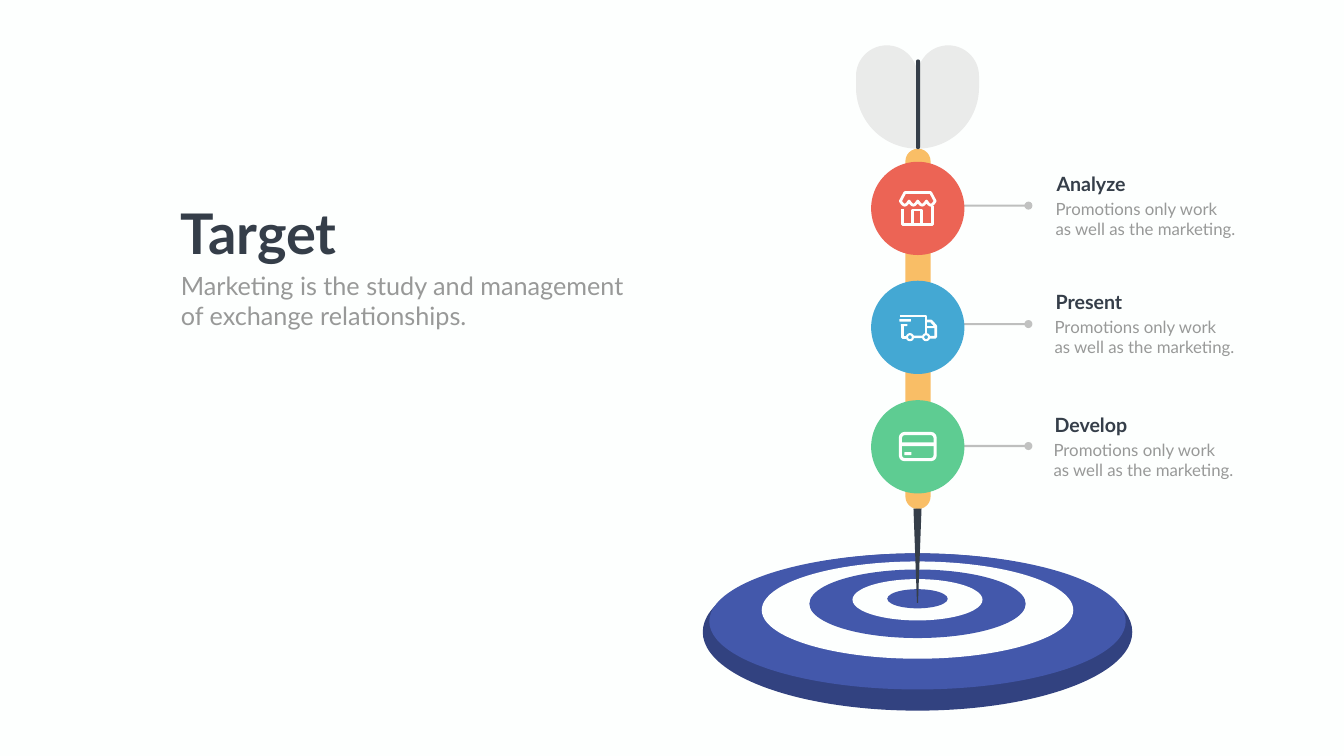
from math import cos, pi, sin

from pptx import Presentation
from pptx.dml.color import RGBColor
from pptx.enum.shapes import MSO_CONNECTOR, MSO_SHAPE as SHAPE
from pptx.enum.text import MSO_AUTO_SIZE
from pptx.oxml.ns import qn
from pptx.util import Inches, Pt
from lxml.etree import SubElement

WHITE = RGBColor(0xFD, 0xFF, 0xFE)
INK = RGBColor(0x35, 0x3E, 0x49)
GREY = RGBColor(0x98, 0x99, 0x98)
LEADER = RGBColor(0x80, 0x80, 0x80)
DOT = RGBColor(0xC1, 0xC2, 0xC1)
FEATHER = RGBColor(0xEA, 0xEB, 0xEA)
YELLOW = RGBColor(0xF9, 0xBE, 0x66)
NAVY = RGBColor(0x32, 0x42, 0x80)
BLUE = RGBColor(0x43, 0x58, 0xAB)
RED = RGBColor(0xEC, 0x64, 0x55)
SKY = RGBColor(0x44, 0xA8, 0xD3)
GREEN = RGBColor(0x5E, 0xCC, 0x92)

presentation = Presentation()
presentation.slide_width = Inches(26.66)
presentation.slide_height = Inches(15)
slide = presentation.slides.add_slide(presentation.slide_layouts[6])
slide.background.fill.solid()
slide.background.fill.fore_color.rgb = WHITE

CELL = presentation.slide_height // 15  # square grid, 15 rows
AXIS = 18.2  # column of the dart's centre line


def paint(shape, fill=None, stroke=0):
    """Fill a shape, or give it a white outline of stroke points."""
    shape.shadow.inherit = False
    if fill is None:
        shape.fill.background()
        shape.line.color.rgb = WHITE
        shape.line.width = Pt(stroke)
    else:
        shape.fill.solid()
        shape.fill.fore_color.rgb = fill
        shape.line.fill.background()
    return shape


def add(kind, left, top, width, height, fill=None, stroke=0):
    """Add a preset shape measured in grid cells."""
    box = [round(value * CELL) for value in (left, top, width, height)]
    return paint(slide.shapes.add_shape(kind, *box), fill, stroke)


# Leader lines with end dots
for row in (4.08, 6.43, 8.85):
    leader = slide.shapes.add_connector(
        MSO_CONNECTOR.STRAIGHT, round(18.35 * CELL), round(row * CELL),
        round(20.41 * CELL), round(row * CELL))
    leader.line.color.rgb = LEADER
    leader.line.width = Pt(3)
    colour = leader.element.xpath(".//a:srgbClr")[0]
    SubElement(colour, qn("a:alpha")).set("val", "50000")
    SubElement(leader.element.spPr, qn("a:effectLst"))
    add(SHAPE.OVAL, 20.32, row - 0.08, 0.16, 0.16, DOT)

# Target rings: top, width, height
for top, width, height, colour in (
        (10.98, 8.52, 3.12, NAVY), (10.98, 8.26, 2.7, BLUE),
        (11.14, 6.18, 1.93, WHITE), (11.3, 4.29, 1.36, BLUE),
        (11.49, 2.58, 0.82, WHITE), (11.69, 1.2, 0.38, BLUE)):
    add(SHAPE.OVAL, AXIS - width / 2, top, width, height, colour)

# Each feather is a half circle above a quarter circle
RADIUS = 0.61
STEPS = 32
half = [(RADIUS - RADIUS * cos(pi * i / STEPS), 1.51 - RADIUS * sin(pi * i / STEPS))
        for i in range(STEPS + 1)]
quarter = [(2 * RADIUS * cos(pi / 2 * i / STEPS), 1.73 + 2 * RADIUS * sin(pi / 2 * i / STEPS))
           for i in range(STEPS + 1)]
feathers = [[(AXIS + side * x, y) for x, y in half + quarter] for side in (1, -1)]
needle = [(18.19, 11.96), (18.12, 10.09), (18.28, 10.09), (18.21, 11.96)]

# Stroked parts of the shop and the truck
scallops = [(18.55 - 0.69 * i / 48, 3.99 + 0.08 * abs(sin(4 * pi * i / 48))) for i in range(49)]
awning = [(17.95, 3.82), (18.46, 3.82)] + scallops
walls = [(17.91, 4.15), (17.91, 4.45), (18.5, 4.45), (18.5, 4.08)]
cargo = [(17.85, 6.27), (18.37, 6.27), (18.37, 6.62)]
cab = [(18.39, 6.37), (18.47, 6.37), (18.56, 6.47), (18.56, 6.69), (18.43, 6.69)]
rear = [(17.91, 6.45), (17.91, 6.69), (17.98, 6.69)]

outlines = [(points, FEATHER, 0, True) for points in feathers]
outlines += [(needle, INK, 0, True), (awning, None, 4, True)]
outlines += [(points, None, 4, False) for points in (walls, cargo, cab, rear)]

# Shaft and discs lie under the stroked icons, the rod over the feathers
shaft = add(SHAPE.ROUNDED_RECTANGLE, 17.96, 2.95, 0.5, 7.15, YELLOW)
shaft.adjustments[0] = 0.5
for top, colour in ((3.21, RED), (5.57, SKY), (7.94, GREEN)):
    add(SHAPE.OVAL, 17.28, top, 1.85, 1.85, colour)

for points, fill, stroke, closed in outlines:
    corners = [(round(x * CELL), round(y * CELL)) for x, y in points]
    builder = slide.shapes.build_freeform(*corners[0])
    builder.add_line_segments(corners[1:], close=closed)
    paint(builder.convert_to_shape(), fill, stroke)

rod = add(SHAPE.ROUNDED_RECTANGLE, 18.17, 1.18, 0.08, 1.78, INK)
rod.adjustments[0] = 0.5

# Shop door, truck wheels and card
add(SHAPE.RECTANGLE, 18.1, 4.17, 0.18, 0.28, None, 3)
for left in (17.99, 18.31):
    add(SHAPE.OVAL, left, 6.63, 0.12, 0.12, None, 3)
add(SHAPE.ROUNDED_RECTANGLE, 17.86, 8.6, 0.69, 0.52, None, 4.5)

# Truck floor, window and speed lines, then the card's stripe and number
for left, top, width, height in (
        (18.09, 6.66, 0.23, 0.05), (18.37, 6.47, 0.19, 0.04),
        (17.84, 6.33, 0.23, 0.05), (17.87, 6.43, 0.13, 0.04),
        (17.87, 8.78, 0.68, 0.07), (17.94, 8.97, 0.14, 0.06)):
    add(SHAPE.ROUNDED_RECTANGLE, left, top, width, height, WHITE)

# Texts: left, top, width, height, lines, size, colour, bold
texts = []
for left, top, heading in ((20.86, 3.36, "Analyze"), (20.84, 5.71, "Present"),
                           (20.82, 8.14, "Develop")):
    texts += [
        (left, top, 2.29, 0.57, heading, 28, INK, True),
        (left - 0.02, top + 0.53, 4.07, 0.91,
         "Promotions only work\nas well as the marketing.", 24, GREY, False)]
texts += [
    (3.49, 3.88, 3.5, 1.45, "Target", 80, INK, True),
    (3.49, 5.31, 9.74, 1.31,
     "Marketing is the study and management\nof exchange relationships.", 36, GREY, False)]

for left, top, width, height, words, size, colour, bold in texts:
    box = [round(value * CELL) for value in (left, top, width, height)]
    text_frame = slide.shapes.add_textbox(*box).text_frame
    text_frame.word_wrap = True
    text_frame.auto_size = MSO_AUTO_SIZE.SHAPE_TO_FIT_TEXT
    text_frame.text = words
    for paragraph in text_frame.paragraphs:
        for run in paragraph.runs:
            run.font.name = "Lato"
            run.font.size = Pt(size)
            run.font.bold = bold
            run.font.color.rgb = colour

presentation.save("out.pptx")
